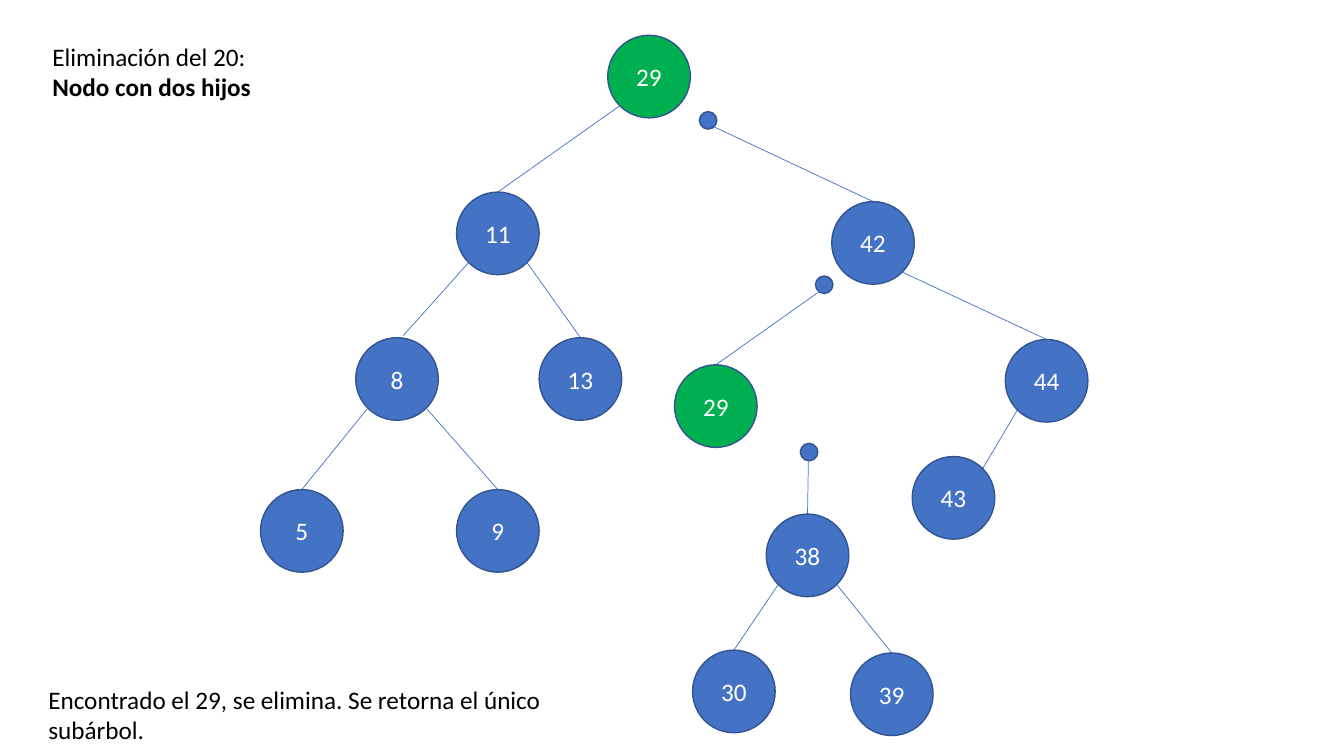
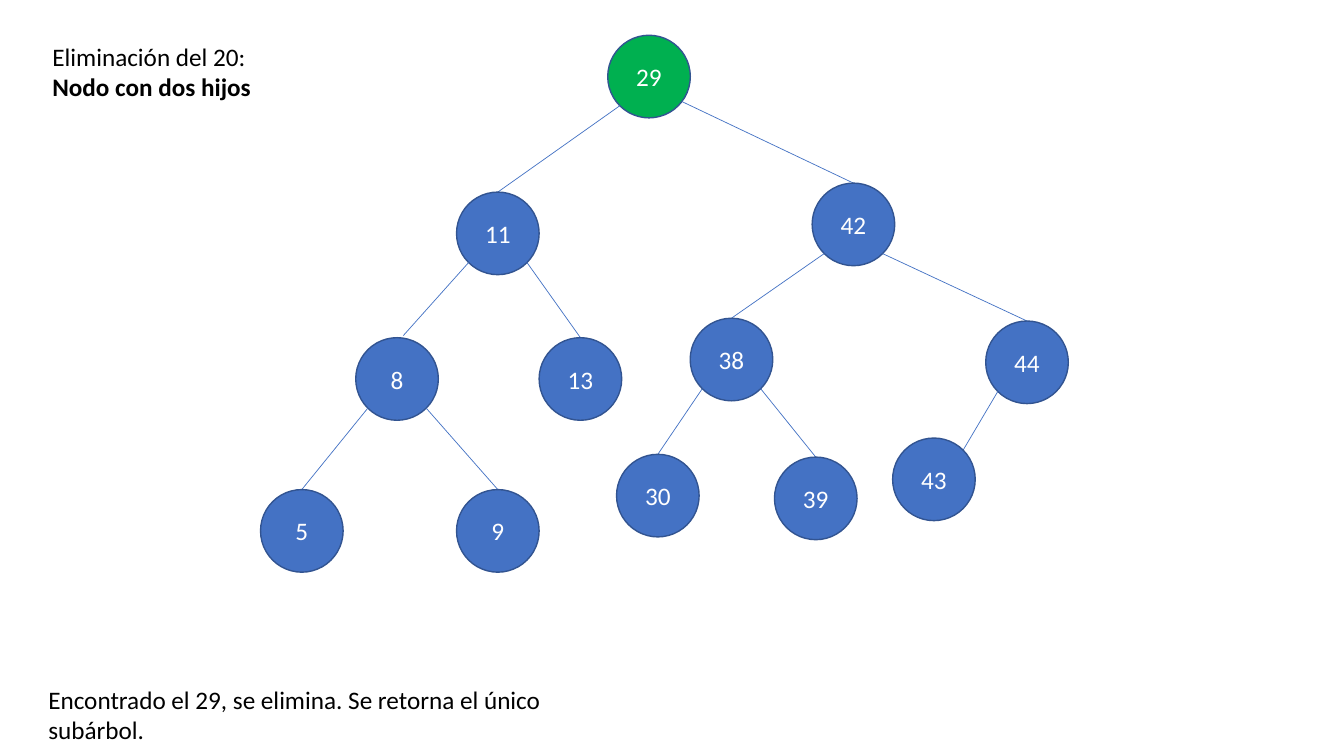
from dataclasses import dataclass
from typing import Any, NamedTuple, Optional

import pptx
import pptx.dml.color
import pptx.enum.shapes
import pptx.enum.text
import pptx.oxml
import pptx.oxml.ns
import pptx.presentation
import pptx.shapes.autoshape
import pptx.slide
import pptx.text.text
import pptx.util

Pt = pptx.util.Pt
ALIGN = pptx.enum.text.PP_ALIGN
ANCHOR = pptx.enum.text.MSO_ANCHOR

COLORS = {
    "node": "4472C4",
    "found": "00B050",
    "outline": "325491",
    "edge": "4472C4",
    "label": "FFFFFF",
    "text": "000000",
}
FONT_FORMAT = {"name": "Calibri", "size": Pt(18)}
TEXT_FRAME_FORMAT = {
    "word_wrap": True,
    "vertical_anchor": ANCHOR.TOP,
    "auto_size": pptx.enum.text.MSO_AUTO_SIZE.SHAPE_TO_FIT_TEXT,
}
NODE_FRAME_FORMAT = {"word_wrap": True, "vertical_anchor": ANCHOR.MIDDLE}

NODE_SIZE = 59
DOT_SIZE = 12.5
RADIUS = NODE_SIZE / 2
DIAGONAL = RADIUS * 0.5 ** 0.5

HEADING = ("Eliminación del 20:", "Nodo con dos hijos")
CAPTION = "Encontrado el 29, se elimina. Se retorna el único subárbol."


class Point(NamedTuple):
    x: float
    y: float

    def shifted(self, offset: "Point") -> "Point":
        return Point(self.x + offset.x, self.y + offset.y)


class Box(NamedTuple):
    left: float
    top: float
    width: float
    height: float


HEADING_BOX = Box(30.2, 26, 257.8, 51)
CAPTION_BOX = Box(27.4, 485.3, 397.4, 51)
ROOT_CENTER = Point(463.6, 54.7)


@dataclass(frozen=True)
class Node:
    """Offset, leave and dot are from the parent's centre, enter from its own."""

    value: int
    offset: Point = Point(0, 0)
    children: tuple["Node", ...] = ()
    color: str = "node"
    leave: Optional[Point] = None
    enter: Point = Point(0, -RADIUS)
    dot: Optional[Point] = None


def left_branch() -> Node:
    eight = Node(
        8, Point(-72, 104), enter=Point(4.5, -31),
        children=(Node(5, Point(-68, 108.5)), Node(9, Point(72, 108.5))),
    )
    return Node(11, Point(-108, 112), (eight, Node(13, Point(59, 104))))


def branch_38(offset: Point, **link: Point) -> Node:
    leaves = (Node(30, Point(-52.6, 97.2)), Node(39, Point(60.2, 99.2)))
    return Node(38, offset, leaves, **link)


def branch_42(offset: Point, smaller: Node, **link: Point) -> Node:
    leaf = Node(43, Point(-66.5, 83.6), enter=Point(DIAGONAL, -DIAGONAL))
    return Node(42, offset, (smaller, Node(44, Point(124, 98.5), (leaf,))), **link)


def tree_with_duplicate() -> Node:
    remaining = branch_38(
        Point(65.5, 106.6), leave=Point(66.2, 36.1), dot=Point(66.6, 32.8)
    )
    duplicate = Node(
        29, Point(-112.3, 116.6), (remaining,), "found",
        leave=Point(-36, 33.1), dot=Point(-34.9, 29.9),
    )
    right = branch_42(
        Point(160, 118.8), duplicate, leave=Point(37.5, 31.7), dot=Point(42.2, 31.3)
    )
    return Node(29, children=(left_branch(), right), color="found")


def tree_after_removal() -> Node:
    right = branch_42(
        Point(146, 105.6), branch_38(Point(-87.1, 96.5)), leave=Point(23.8, 18)
    )
    return Node(29, children=(left_branch(), right), color="found")


def rgb(color: str) -> pptx.dml.color.RGBColor:
    return pptx.dml.color.RGBColor.from_string(COLORS[color])


def apply_format(target: Any, values: dict[str, Any]) -> None:
    for attribute, value in values.items():
        setattr(target, attribute, value)


def write_text(
    frame: pptx.text.text.TextFrame, text: str, color: str,
    align: ALIGN, frame_format: dict[str, Any],
) -> None:
    frame.text = text
    apply_format(frame, frame_format)
    for paragraph in frame.paragraphs:
        paragraph.alignment = align
        apply_format(paragraph.font, FONT_FORMAT)
        paragraph.font.color.rgb = rgb(color)


def add_circle(
    slide: pptx.slide.Slide, center: Point, size: float, color: str
) -> pptx.shapes.autoshape.Shape:
    circle = slide.shapes.add_shape(
        pptx.enum.shapes.MSO_SHAPE.OVAL,
        Pt(center.x - size / 2), Pt(center.y - size / 2), Pt(size), Pt(size),
    )
    circle.shadow.inherit = False
    circle.fill.solid()
    circle.fill.fore_color.rgb = rgb(color)
    circle.line.color.rgb = rgb("outline")
    circle.line.width = Pt(1)
    return circle


def add_edge(slide: pptx.slide.Slide, start: Point, end: Point) -> None:
    edge = slide.shapes.add_connector(
        pptx.enum.shapes.MSO_CONNECTOR.STRAIGHT,
        Pt(start.x), Pt(start.y), Pt(end.x), Pt(end.y),
    )
    edge.line.color.rgb = rgb("edge")
    edge.line.width = Pt(0.5)
    properties = edge._element.spPr
    properties.append(
        pptx.oxml.parse_xml(f"<a:effectLst {pptx.oxml.ns.nsdecls('a')}/>")
    )


def add_tree(slide: pptx.slide.Slide, node: Node, center: Point) -> None:
    circle = add_circle(slide, center, NODE_SIZE, node.color)
    write_text(
        circle.text_frame, str(node.value), "label", ALIGN.CENTER, NODE_FRAME_FORMAT
    )
    for child in node.children:
        child_center = center.shifted(child.offset)
        side = DIAGONAL if child.offset.x > 0 else -DIAGONAL
        leave = child.leave or Point(side, DIAGONAL)
        add_edge(slide, center.shifted(leave), child_center.shifted(child.enter))
        if child.dot:
            add_circle(slide, center.shifted(child.dot), DOT_SIZE, "node")
        add_tree(slide, child, child_center)


def add_heading(slide: pptx.slide.Slide) -> None:
    heading = slide.shapes.title
    apply_format(
        heading, {side: Pt(length) for side, length in HEADING_BOX._asdict().items()}
    )
    write_text(
        heading.text_frame, "\n".join(HEADING), "text", ALIGN.LEFT, TEXT_FRAME_FORMAT
    )
    heading.text_frame.paragraphs[-1].font.bold = True


def add_caption(slide: pptx.slide.Slide) -> None:
    caption = slide.shapes.add_textbox(*map(Pt, CAPTION_BOX))
    write_text(caption.text_frame, CAPTION, "text", ALIGN.LEFT, TEXT_FRAME_FORMAT)


def add_tree_slide(deck: pptx.presentation.Presentation, root: Node) -> None:
    slide = deck.slides.add_slide(deck.slide_layouts.get_by_name("Title Only"))
    add_heading(slide)
    add_tree(slide, root, ROOT_CENTER)
    add_caption(slide)


def main() -> None:
    deck = pptx.Presentation()
    deck.slide_width, deck.slide_height = Pt(960), Pt(540)
    for root in (tree_with_duplicate(), tree_after_removal()):
        add_tree_slide(deck, root)
    deck.save("out.pptx")


if __name__ == "__main__":
    main()
